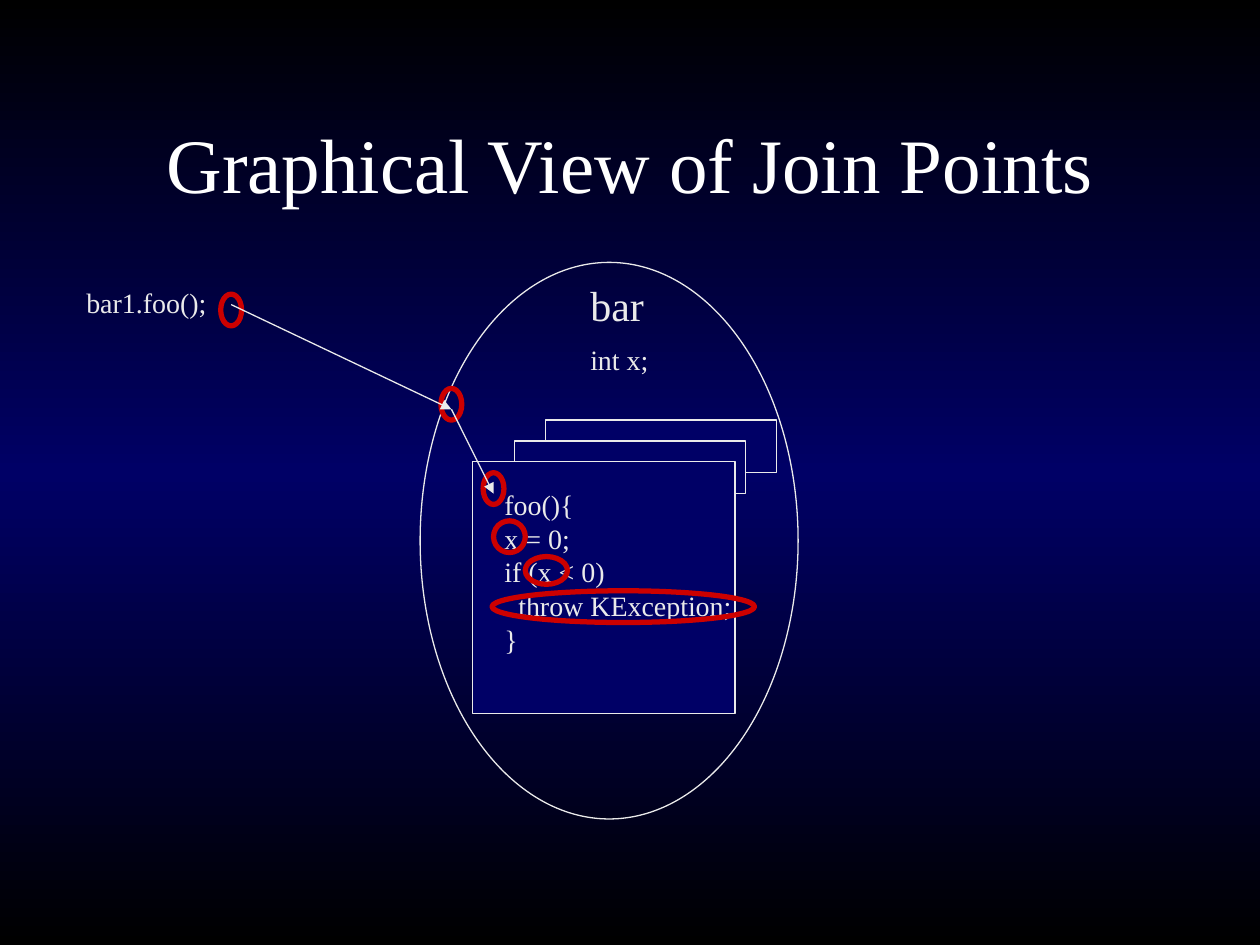
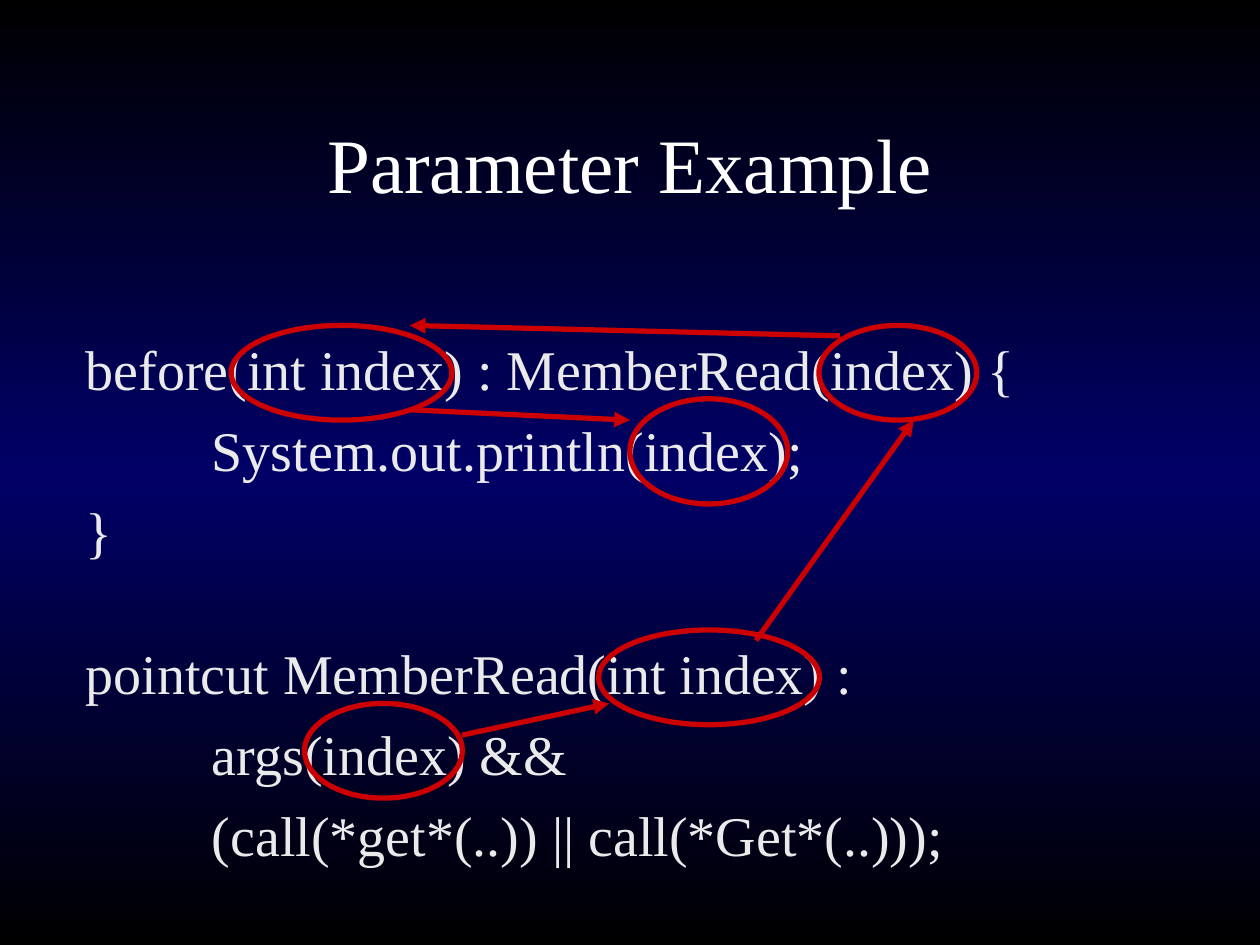
from copy import deepcopy
from dataclasses import dataclass

from lxml import etree
from pptx import Presentation
from pptx.dml.color import RGBColor
from pptx.enum.shapes import MSO_CONNECTOR, MSO_SHAPE
from pptx.enum.text import MSO_ANCHOR, MSO_AUTO_SIZE, PP_ALIGN
from pptx.oxml.ns import qn
from pptx.util import Cm, Pt

ELLIPSE, RECTANGLE = MSO_SHAPE.OVAL, MSO_SHAPE.RECTANGLE
STRAIGHT = MSO_CONNECTOR.STRAIGHT
MIDDLE, CENTER = MSO_ANCHOR.MIDDLE, PP_ALIGN.CENTER
FIT_SHAPE = MSO_AUTO_SIZE.SHAPE_TO_FIT_TEXT


@dataclass(frozen=True)
class Theme:
    font: str = "Times New Roman"
    black: RGBColor = RGBColor(0x00, 0x00, 0x00)
    navy: RGBColor = RGBColor(0x00, 0x00, 0x66)
    white: RGBColor = RGBColor(0xFF, 0xFF, 0xFF)
    pale: RGBColor = RGBColor(0xEA, 0xEA, 0xEA)
    red: RGBColor = RGBColor(0xCC, 0x00, 0x00)
    title_size: float = 44
    listing_size: float = 32
    object_size: float = 24
    label_size: float = 16
    listing_gap: float = 8
    thin: float = 0.75
    thick: float = 3


THEME = Theme()
TITLE_AREA = (1.91, 1.7, 21.59, 3.18)

JOIN_TITLE = "Graphical View of Join Points"
BAR_OBJECT = (8.47, 5.29, 7.62, 11.22)
METHOD_FRAMES = [
    (11, 8.47, 4.66, 1.06),
    (10.37, 8.89, 4.66, 1.06),
    (9.53, 9.31, 5.29, 5.08),
]
CALL_STEPS = [(4.66, 6.14), (9.1, 8.25), (9.95, 9.95)]
JOIN_LABELS = [
    ((9.92, 9.71, 5.1, 3.66), THEME.label_size,
     [("foo(){", 0), ("x = 0;", 0), ("if (x < 0)", 0),
      ("throw KException;", 0.28), ("}", 0)]),
    ((11.65, 5.51, 1.7, 1.27), THEME.object_size, [("bar", 0)]),
    ((11.65, 6.78, 1.7, 0.94), THEME.label_size, [("int x;", 0)]),
    ((1.49, 5.64, 3.1, 0.94), THEME.label_size, [("bar1.foo();", 0)]),
]
JOIN_POINTS = [
    (4.45, 5.93, 0.42, 0.64),
    (8.89, 7.83, 0.42, 0.64),
    (9.74, 9.53, 0.42, 0.64),
    (9.95, 10.5, 0.64, 0.64),
    (10.59, 11.22, 0.85, 0.56),
    (9.92, 11.91, 5.29, 0.64),
]

PARAMETER_TITLE = "Parameter Example"
TAB = 2.54
LISTINGS = [
    ((1.48, 12.74, 23.06, 6.25),
     [("pointcut MemberRead(int index) :", 0),
      ("args(index) &&", TAB),
      ("(call(*get*(..)) || call(*Get*(..)));", TAB)]),
    ((1.48, 6.62, 23.06, 6.25),
     [("before(int index) : MemberRead(index) {", 0),
      ("System.out.println(index);", TAB),
      ("}", 0)]),
]
PARAMETERS = [
    (6.14, 14.18, 3.18, 1.91),
    (12.07, 12.7, 4.45, 1.91),
    (16.51, 6.56, 3.18, 1.91),
    (4.66, 6.56, 4.45, 1.91),
    (12.7, 8.04, 3.18, 2.12),
]
BINDINGS = [
    ((9.31, 14.82), (12.28, 14.18)),
    ((15.24, 12.91), (18.42, 8.47)),
    ((16.93, 6.77), (8.26, 6.56)),
    ((8.26, 8.26), (12.7, 8.47)),
]


def lengths(values):
    return [Cm(value) for value in values]


def paint_background(master):
    fill = master.background.fill
    fill.gradient()
    fill.gradient_angle = 90
    first = master.element.find(".//" + qn("a:gs"))
    first.addnext(deepcopy(first))
    colors = (THEME.black, THEME.navy, THEME.black)
    for index, (stop, color) in enumerate(zip(fill.gradient_stops, colors)):
        stop.position = index / 2
        stop.color.rgb = color


def add_text(page, area, lines, size, color=THEME.pale, wrap=False,
             gap=0, align=None, anchor=None):
    box = page.shapes.add_textbox(*lengths(area))
    frame = box.text_frame
    frame.word_wrap = wrap
    if anchor is None:
        frame.auto_size = FIT_SHAPE
    else:
        frame.vertical_anchor = anchor
    for index, (text, indent) in enumerate(lines):
        para = frame.add_paragraph() if index else frame.paragraphs[0]
        para.alignment = align
        para.space_before = Pt(gap)
        if indent:
            para._p.get_or_add_pPr().set("marL", str(Cm(indent)))
        span = para.add_run()
        span.text = text
        span.font.name = THEME.font
        span.font.size = Pt(size)
        span.font.color.rgb = color


def add_outline(page, kind, area, color, width, fill=None):
    shape = page.shapes.add_shape(kind, *lengths(area))
    shape.shadow.inherit = False
    if fill is None:
        shape.fill.background()
    else:
        shape.fill.solid()
        shape.fill.fore_color.rgb = fill
    shape.line.color.rgb = color
    shape.line.width = Pt(width)


def add_arrow(page, start, end, color, width):
    arrow = page.shapes.add_connector(STRAIGHT, *lengths(start + end))
    arrow.line.color.rgb = color
    arrow.line.width = Pt(width)
    properties = arrow._element.spPr
    outline = properties.find(qn("a:ln"))
    etree.SubElement(outline, qn("a:tailEnd"), type="triangle")
    etree.SubElement(properties, qn("a:effectLst"))


def add_rings(page, areas):
    for area in areas:
        add_outline(page, ELLIPSE, area, THEME.red, THEME.thick)


def add_page(deck, title):
    page = deck.slides.add_slide(deck.slide_layouts[6])
    add_text(page, TITLE_AREA, [(title, 0)], THEME.title_size, THEME.white,
             wrap=True, align=CENTER, anchor=MIDDLE)
    return page


def build_join_points(deck):
    page = add_page(deck, JOIN_TITLE)
    add_outline(page, ELLIPSE, BAR_OBJECT, THEME.pale, THEME.thin)
    for area in METHOD_FRAMES:
        add_outline(page, RECTANGLE, area, THEME.pale, THEME.thin, THEME.navy)
    for area, size, lines in JOIN_LABELS:
        add_text(page, area, lines, size)
    add_rings(page, JOIN_POINTS)
    for start, end in zip(CALL_STEPS, CALL_STEPS[1:]):
        add_arrow(page, start, end, THEME.pale, THEME.thin)


def build_parameters(deck):
    page = add_page(deck, PARAMETER_TITLE)
    for area, lines in LISTINGS:
        add_text(page, area, lines, THEME.listing_size, wrap=True,
                 gap=THEME.listing_gap)
    add_rings(page, PARAMETERS)
    for start, end in BINDINGS:
        add_arrow(page, start, end, THEME.red, THEME.thick)


def main():
    deck = Presentation()
    deck.slide_width, deck.slide_height = Cm(25.4), Cm(19.05)
    paint_background(deck.slide_master)
    build_join_points(deck)
    build_parameters(deck)
    deck.save("out.pptx")


if __name__ == "__main__":
    main()
